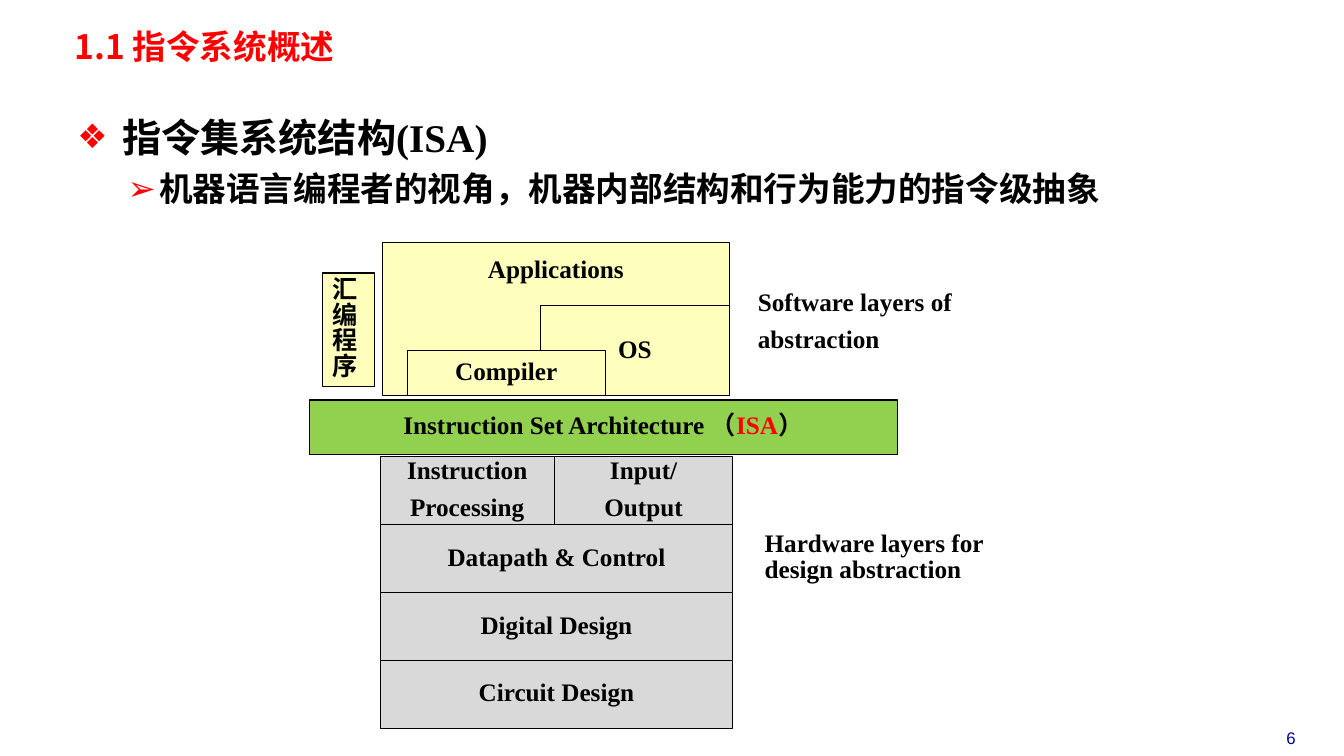
from lxml.etree import SubElement
from pptx import Presentation
from pptx.dml.color import RGBColor
from pptx.enum.shapes import MSO_SHAPE as Shape
from pptx.enum.text import MSO_ANCHOR as Anchor, PP_ALIGN as Align
from pptx.oxml.ns import qn
from pptx.util import Cm, Pt

SERIF, SANS, CHINESE = "Times New Roman", "Arial", "Noto Sans CJK SC"
BLACK, RED, NAVY = "000000", "FF0000", "000099"
YELLOW, GREEN, GRAY = "FFFFBD", "92D050", "D9D9D9"


def color(value):
    return RGBColor.from_string(value)


def add_bullet(paragraph, symbol, left, hanging, percent):
    properties = paragraph._p.get_or_add_pPr()
    properties.set("marL", str(Cm(left)))
    properties.set("indent", str(-Cm(hanging)))
    bullet_color = SubElement(properties, qn("a:buClr"))
    SubElement(bullet_color, qn("a:srgbClr"), val=RED)
    SubElement(properties, qn("a:buSzPct"), val=str(percent * 1000))
    SubElement(properties, qn("a:buFont"), typeface=SANS)
    SubElement(properties, qn("a:buChar"), char=symbol)


def write(paragraph, text, size=18, font=SERIF, fill=BLACK, bold=True,
          align=Align.LEFT, spacing=0.85, before=0):
    paragraph.alignment = align
    paragraph.line_spacing = spacing
    paragraph.space_before = Pt(before)
    parts = [(text, fill)] if isinstance(text, str) else text
    for words, run_fill in parts:
        run = paragraph.add_run()
        run.text = words
        run.font.size, run.font.name, run.font.bold = Pt(size), font, bold
        run.font.color.rgb = color(run_fill)
        SubElement(run._r.get_or_add_rPr(), qn("a:ea"), typeface=CHINESE)


class SlideBuilder:
    """Draws the styled elements of one slide."""

    def __init__(self, slide):
        self.slide = slide

    def fill_frame(self, frame, lines, **style):
        for index, line in enumerate(lines):
            paragraph = frame.add_paragraph() if index else frame.paragraphs[0]
            write(paragraph, line, before=8 if index else 0, **style)

    def text(self, left, top, width, height, *lines, **style):
        box = self.slide.shapes.add_textbox(Cm(left), Cm(top), Cm(width), Cm(height))
        box.text_frame.word_wrap = True
        self.fill_frame(box.text_frame, lines, **style)
        return box.text_frame

    def block(self, left, top, width, height, fill, *lines,
              anchor=Anchor.MIDDLE, wrap=False, align=Align.CENTER, **style):
        shape = self.slide.shapes.add_shape(
            Shape.RECTANGLE, Cm(left), Cm(top), Cm(width), Cm(height))
        shape.shadow.inherit = False
        shape.fill.solid()
        shape.fill.fore_color.rgb = color(fill)
        shape.line.color.rgb = color(BLACK)
        shape.line.width = Pt(0.75)
        frame = shape.text_frame
        frame.word_wrap, frame.vertical_anchor = wrap, anchor
        self.fill_frame(frame, lines, align=align, **style)
        return frame

    def bullets(self, left, top, width, height, items):
        frame = self.text(left, top, width, height)
        for index, (symbol, text, size, indent, hanging, percent) in enumerate(items):
            paragraph = frame.add_paragraph() if index else frame.paragraphs[0]
            add_bullet(paragraph, symbol, indent, hanging, percent)
            write(paragraph, text, size=size, spacing=1.2)


def main():
    presentation = Presentation()
    presentation.slide_width, presentation.slide_height = Cm(33.87), Cm(19.05)
    slide = presentation.slides.add_slide(presentation.slide_layouts[6])
    builder = SlideBuilder(slide)

    builder.text(31.34, 18.21, 2.39, 0.76, "6", size=12, font=SANS, fill=NAVY,
                 bold=False, align=Align.CENTER, spacing=1)
    title = builder.text(1.7, 0.71, 19.48, 1.04, "1.1 指令系统概述",
                         size=24, font=CHINESE, fill=RED, spacing=0.87)
    title.margin_left = title.margin_right = Cm(0.18)
    title.margin_top = title.margin_bottom = Cm(0.08)
    builder.bullets(1.7, 2.49, 28.63, 3.02, [
        ("❖", "指令集系统结构(ISA)", 28, 1.13, 1.13, 86),
        ("➢", "机器语言编程者的视角，机器内部结构和行为能力的指令级抽象", 24, 2.06, 0.79, 100),
    ])

    applications = builder.block(9.63, 6.12, 8.76, 3.84, YELLOW, "Applications",
                                 anchor=Anchor.TOP)
    applications.margin_top = Cm(0.38)
    builder.block(13.61, 7.7, 4.78, 2.26, YELLOW, "OS")
    builder.block(10.26, 8.84, 5, 1.12, YELLOW, "Compiler")
    builder.block(8.13, 6.88, 1.32, 2.87, YELLOW, "汇编程序", font=SANS,
                  anchor=Anchor.TOP, wrap=True, align=Align.LEFT)
    builder.block(7.8, 10.08, 14.81, 1.37, GREEN, [
        ("Instruction Set Architecture （", BLACK), ("ISA", RED), ("）", BLACK)])

    left, top, width, row, split = 9.58, 11.51, 8.89, 1.71, 4.39
    builder.block(left, top, split, row, GRAY, "Instruction", "Processing")
    builder.block(left + split, top, width - split, row, GRAY, "Input/", "Output")
    layers = ["Datapath & Control", "Digital Design", "Circuit Design"]
    for index, layer in enumerate(layers, start=1):
        builder.block(left, top + index * row, width, row, GRAY, layer)

    builder.text(18.85, 7.21, 8.1, 1.96, "Software layers of", "abstraction")
    builder.text(19.02, 13.28, 6.5, 2.31, "Hardware layers for design abstraction")
    presentation.save("out.pptx")


if __name__ == "__main__":
    main()
